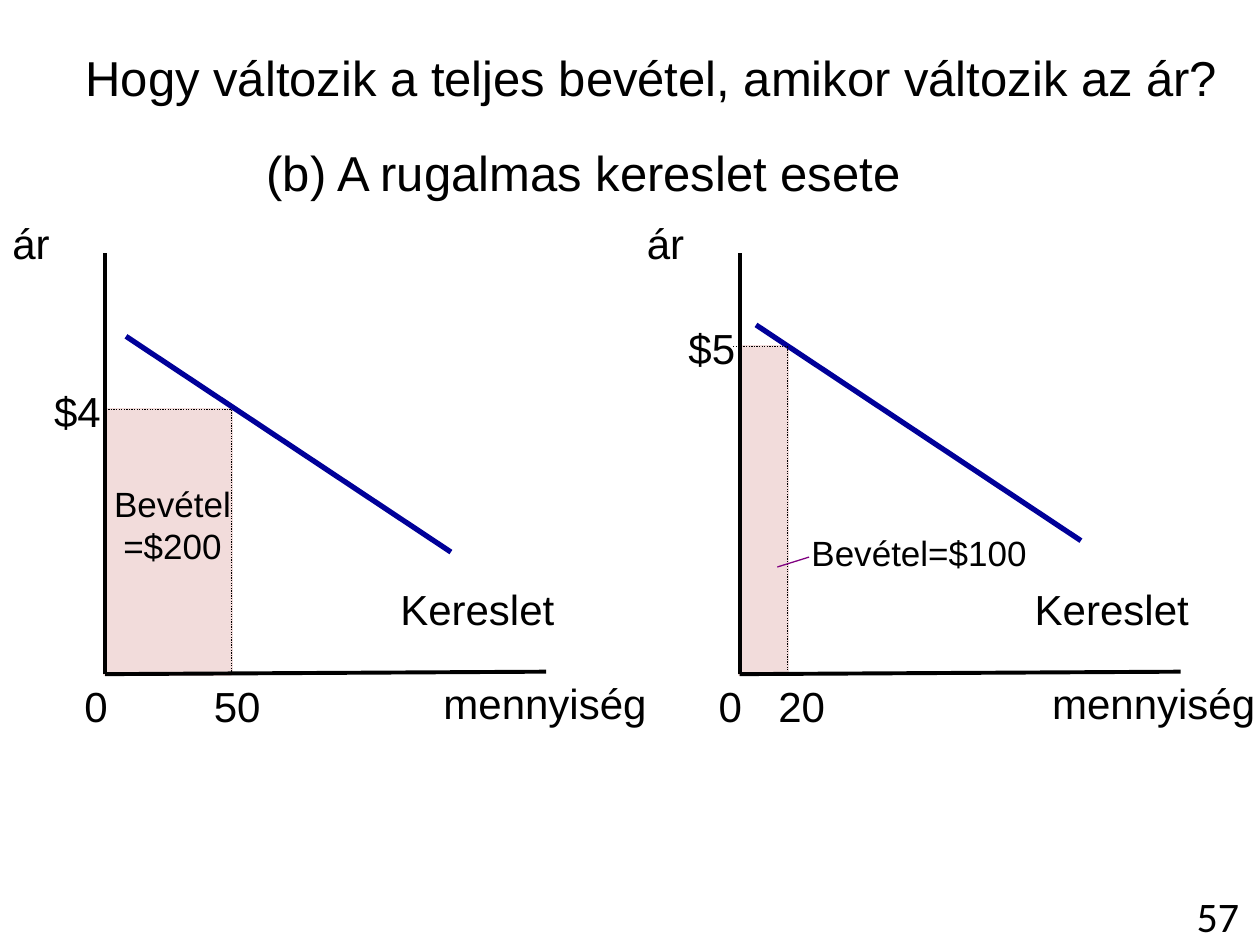
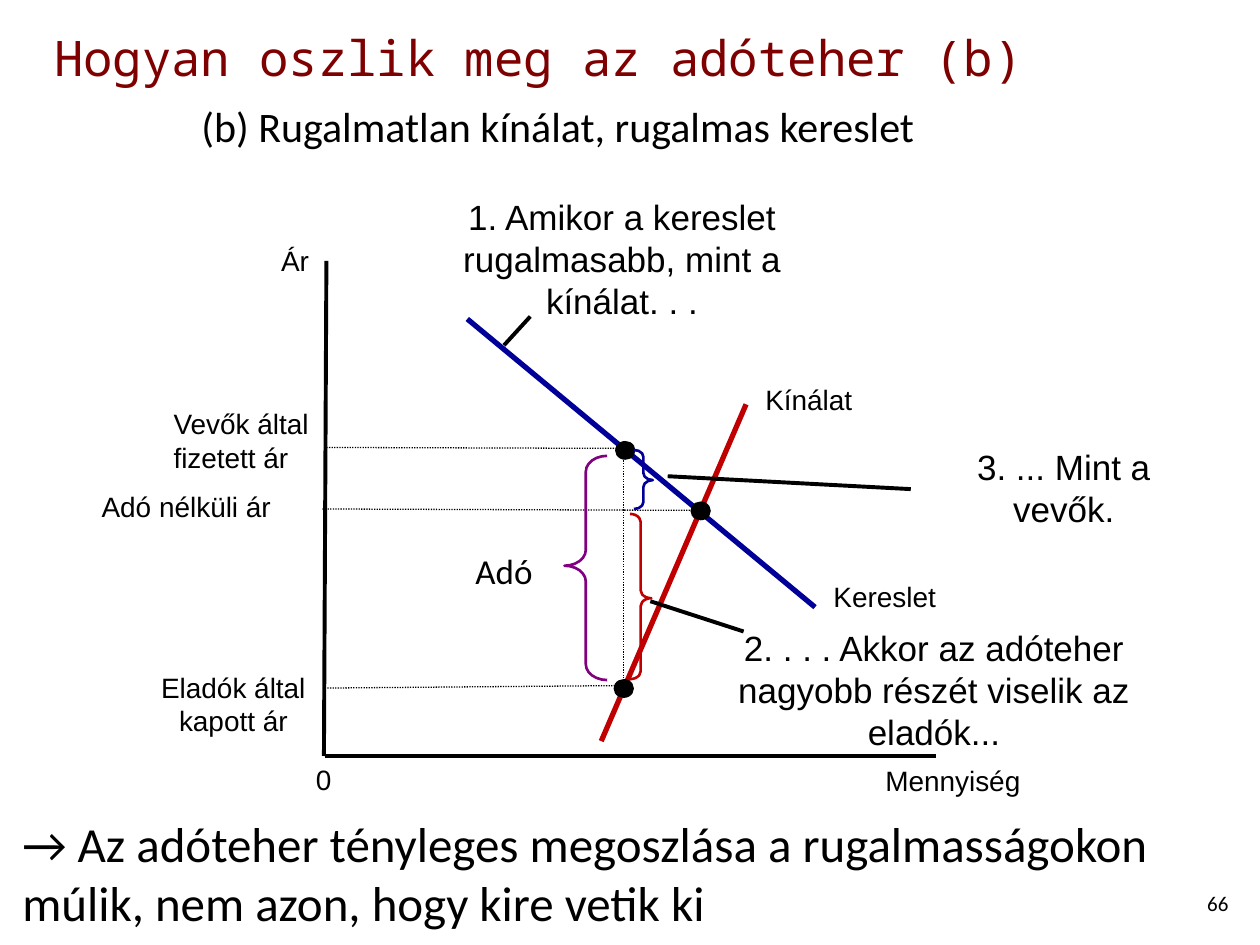
import pptx
import pptx.util
import pptx.dml.color
import pptx.enum.dml
import pptx.enum.shapes
import pptx.enum.text
import pptx.oxml.ns
import lxml.etree

Cm, Pt = pptx.util.Cm, pptx.util.Pt
RGB = pptx.dml.color.RGBColor.from_string
SHAPE = pptx.enum.shapes.MSO_SHAPE
ALIGN = pptx.enum.text.PP_ALIGN


class Theme:
    black, blue, red, purple = "000000", "000099", "C00000", "800080"
    pink, maroon = "F2DCDB", "7E0000"
    sans, body, mono = "Arial", "Calibri", "Noto Sans Mono"
    title, axis, note, label, small = 28, 24, 20, 16, 12
    curve, stroke, brace, dotted = 3, 2.25, 1.5, 0.75


def add_text(s, x, y, w, h, text, size, align="LEFT", font=Theme.sans,
             color=Theme.black, wrap=False):
    tf = s.shapes.add_textbox(Cm(x), Cm(y), Cm(w), Cm(h)).text_frame
    tf.word_wrap = wrap
    tf.text = text
    for p in tf.paragraphs:
        p.alignment = getattr(ALIGN, align)
        p.font.size, p.font.name = Pt(size), font
        p.font.color.rgb = RGB(color)


def add_line(s, x1, y1, x2, y2, color=Theme.black, width=Theme.stroke):
    c = s.shapes.add_connector(pptx.enum.shapes.MSO_CONNECTOR.STRAIGHT,
                               Cm(x1), Cm(y1), Cm(x2), Cm(y2))
    c.line.color.rgb = RGB(color)
    c.line.width = Pt(width)
    if width == Theme.dotted and color == Theme.black:
        c.line.dash_style = pptx.enum.dml.MSO_LINE.ROUND_DOT
    lxml.etree.SubElement(c._element.spPr, pptx.oxml.ns.qn("a:effectLst"))


prs = pptx.Presentation()
prs.slide_width, prs.slide_height = Cm(25.4), Cm(19.05)

# Both slides with their page numbers
slides = []
for number, size in (("57", Theme.axis), ("66", Theme.small)):
    s = prs.slides.add_slide(prs.slide_layouts[6])
    add_text(s, 23.7, 17.83, 1.7, 1.02, number, size, "CENTER", Theme.body, wrap=True)
    slides.append(s)

# Slide 1: headings
s = slides[0]
add_text(s, 1.32, 0.84, 23.62, 1.45,
         "Hogy változik a teljes bevétel, amikor változik az ár?", Theme.title, "CENTER")
add_text(s, 5.03, 2.74, 13.46, 1.45, "(b) A rugalmas kereslet esete", Theme.title, "CENTER")

# Slide 1: two price-quantity panels
# origin x, price y, quantity, quantity label x, demand start, axis title x,
# start of the price guide, revenue box, labels
base = 13.59
panels = [
    (2.12, 8.26, 2.54, 4.06, (2.54, 6.78), 8.69, 2.13,
     (2.03, 9.6, 2.9, 1.96), "Bevétel\n=$200", "$4", "50"),
    (14.91, 6.99, 0.97, 15.44, (15.24, 6.55), 20.96, 14.78,
     (16.08, 10.59, 4.9, 1.12), "Bevétel=$100", "$5", "20"),
]
for (x0, price_y, quantity, quantity_x, (dx, dy), axis_x, guide_x,
     revenue_box, revenue, price_label, quantity_label) in panels:
    # Revenue area
    sp = s.shapes.add_shape(SHAPE.RECTANGLE, Cm(x0), Cm(price_y),
                            Cm(quantity), Cm(base - price_y))
    sp.shadow.inherit = False
    sp.fill.solid()
    sp.fill.fore_color.rgb = sp.line.color.rgb = RGB(Theme.pink)
    sp.line.width = Pt(2)
    add_text(s, *revenue_box, revenue, Theme.note, "CENTER")
    # Demand, axes and dotted guides
    right = x0 + quantity
    add_line(s, dx, dy, dx + 6.55, dy + 4.35, Theme.blue, Theme.curve)
    add_line(s, x0, base, x0 + 8.89, base - 0.05)
    add_line(s, x0, 5.11, x0, base)
    add_line(s, right, price_y, right, base, width=Theme.dotted)
    add_line(s, guide_x, price_y, right, price_y, width=Theme.dotted)
    # Labels
    for x, y, w, label in (
            (x0 - 2.12, 4.27, 1.5, "ár"),
            (axis_x, 13.54, 4.9, "mennyiség"),
            (x0 - 0.67, base, 0.99, "0"),
            (x0 + 5.7, 11.63, 3.66, "Kereslet"),
            (quantity_x, base, 1.47, quantity_label),
            (x0 - 1.28, price_y - 0.62, 1.47, price_label)):
        add_text(s, x, y, w, 1.27, label, Theme.axis)
add_line(s, 15.67, 11.43, 16.31, 11.23, Theme.purple, Theme.dotted)

# Slide 2: headings and conclusion
s = slides[1]
add_text(s, 0.84, 0.43, 24.56, 1.47, "Hogyan oszlik meg az adóteher (b)", Theme.title,
         font=Theme.mono, color=Theme.maroon, wrap=True)
add_text(s, 3.81, 1.91, 16.59, 1.27, "(b) Rugalmatlan kínálat, rugalmas kereslet",
         Theme.axis, font=Theme.body)
add_text(s, 0.2, 16.28, 23.9, 2.64,
         "→ Az adóteher tényleges megoszlása a rugalmasságokon múlik, "
         "nem azon, hogy kire vetik ki", Theme.title, font=Theme.body, wrap=True)

# Slide 2: axes, curves and dotted guides
add_line(s, 6.58, 5.26, 6.53, 15.24)
add_line(s, 6.55, 15.24, 18.87, 15.24)
add_line(s, 9.42, 6.43, 16.43, 12.24, Theme.blue, Theme.curve)
add_line(s, 12.12, 14.94, 15.04, 8.15, Theme.red, Theme.curve)
for guide in ((12.57, 8.97, 12.57, 13.89), (6.58, 9.02, 12.62, 9.04),
              (6.5, 10.26, 14.15, 10.29), (6.6, 13.87, 12.57, 13.82)):
    add_line(s, *guide, width=Theme.dotted)

# Slide 2: axis, curve and price labels
for x, y, w, h, label, align in (
        (4.42, 4.78, 2.06, 0.94, "Ár", "RIGHT"),
        (17.37, 15.27, 3.45, 0.94, "Mennyiség", "RIGHT"),
        (6.12, 15.24, 0.84, 0.94, "0", "LEFT"),
        (16.54, 11.56, 2.59, 0.94, "Kereslet", "CENTER"),
        (15.16, 7.59, 2.29, 0.94, "Kínálat", "CENTER"),
        (3.25, 8.08, 3.28, 1.63, "Vevők által\nfizetett ár", "LEFT"),
        (1.8, 9.75, 3.96, 0.94, "Adó nélküli ár", "LEFT"),
        (2.9, 13.39, 3.61, 1.63, "Eladók által\nkapott ár", "CENTER")):
    add_text(s, x, y, w, h, label, Theme.label, align, wrap=align == "RIGHT")
add_text(s, 9.12, 10.95, 2.08, 1.12, "Adó", Theme.note, "CENTER", Theme.body, wrap=True)

# Slide 2: equilibrium points
for x, y in ((13.92, 10.11), (12.4, 8.89), (12.37, 13.69)):
    sp = s.shapes.add_shape(SHAPE.OVAL, Cm(x), Cm(y), Cm(0.41), Cm(0.38))
    sp.shadow.inherit = False
    sp.fill.solid()
    sp.fill.fore_color.rgb = RGB(Theme.black)
    sp.line.fill.background()

# Slide 2: braces for the whole tax and for each side's share
for x, y, w, h, turn, color in ((11.38, 9.19, 0.86, 4.52, 0, Theme.purple),
                                (12.78, 9.07, 0.38, 1.19, 180, Theme.blue),
                                (12.7, 10.36, 0.43, 3.33, 180, Theme.red)):
    sp = s.shapes.add_shape(SHAPE.LEFT_BRACE, Cm(x), Cm(y), Cm(w), Cm(h))
    sp.shadow.inherit = False
    sp.adjustments[0], sp.adjustments[1] = 0.37, 0.49
    sp.rotation = turn
    sp.fill.background()
    sp.line.color.rgb = RGB(color)
    sp.line.width = Pt(Theme.brace)

# Slide 2: numbered callouts with their pointers
for box, note, pointer in (
        ((8.26, 3.81, 8.56, 2.82), "1. Amikor a kereslet rugalmasabb, mint a kínálat. . .",
         (10.69, 6.38, 10.16, 6.96)),
        ((18.36, 8.86, 6.17, 1.96), "3. ... Mint a vevők.", (13.46, 9.6, 18.36, 9.86)),
        ((14.17, 12.5, 9.32, 2.82),
         "2. . . . Akkor az adóteher nagyobb részét viselik az eladók...",
         (13.11, 12.12, 14.99, 12.73))):
    add_text(s, *box, note, Theme.note, "CENTER", wrap=True)
    add_line(s, *pointer)

prs.save("out.pptx")
